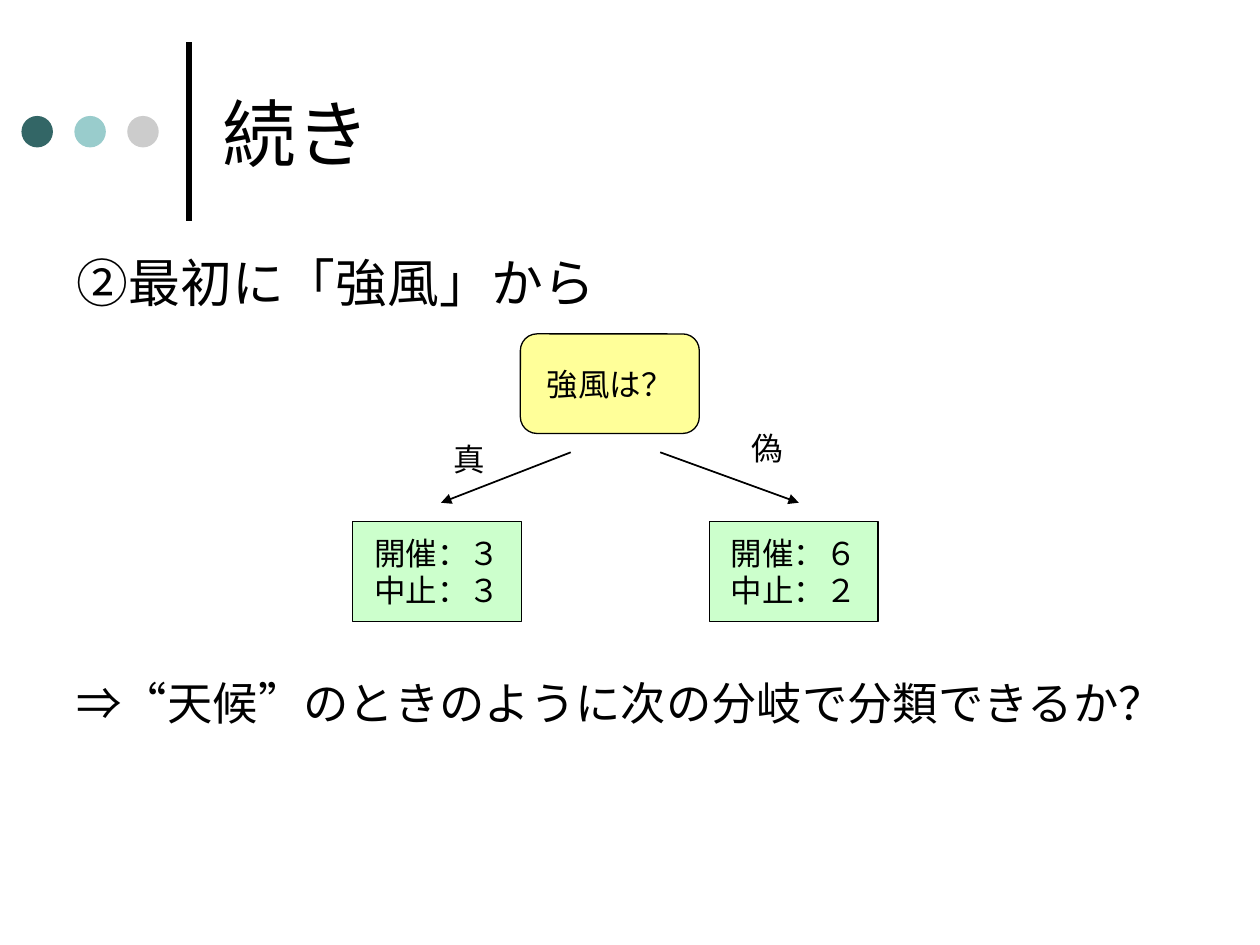
"""Build a slide that shows a decision tree split on strong wind."""
import pptx
import pptx.chart.data
import pptx.dml.color
import pptx.enum.shapes
import pptx.enum.text
import pptx.oxml
import pptx.oxml.ns
import pptx.util
from pptx.util import Inches

SHAPES = pptx.enum.shapes.MSO_SHAPE
ANCHORS = pptx.enum.text.MSO_ANCHOR
ALIGNS = pptx.enum.text.PP_ALIGN


def color(code):
    return pptx.dml.color.RGBColor.from_string(code)


def write(box, text, size=18, before=0, align=ALIGNS.LEFT, anchor=ANCHORS.TOP, wrap=True):
    frame = box.text_frame
    frame.word_wrap = wrap
    frame.vertical_anchor = anchor
    for index, line in enumerate(text.split("\n")):
        para = frame.paragraphs[0] if index == 0 and not frame.text else frame.add_paragraph()
        para.alignment = align
        para.space_before = pptx.util.Pt(before)
        span = para.add_run()
        span.text = line
        span.font.size = pptx.util.Pt(size)
        span.font.name = "Arial"
        span.font.color.rgb = color("000000")


deck = pptx.Presentation()
deck.slide_width, deck.slide_height = Inches(10), Inches(7.5)
page = deck.slides.add_slide(deck.slide_layouts[6])

for index, fill in enumerate(["336666", "99CCCC", "CCCCCC"]):
    dot = page.shapes.add_shape(
        SHAPES.OVAL, Inches(0.17 + 0.42 * index), Inches(0.92), Inches(0.25), Inches(0.25))
    dot.shadow.inherit = False
    dot.fill.solid()
    dot.fill.fore_color.rgb = color(fill)
    dot.line.fill.background()

title = page.shapes.add_textbox(Inches(1.67), Inches(0.21), Inches(7.67), Inches(1.67))
write(title, "続き", size=42, anchor=ANCHORS.MIDDLE)

body = page.shapes.add_textbox(Inches(0.51), Inches(1.94), Inches(8.85), Inches(4.66))
write(body, "②最初に「強風」から", size=29.6, before=8)
write(body, "⇒“天候”のときのように次の分岐で分類できるか？", size=25.9, before=207)

nodes = [
    (SHAPES.ROUNDED_RECTANGLE, 4.13, 2.65, 1.42, "FFFF99", "強風は？"),
    (SHAPES.RECTANGLE, 2.8, 4.14, 1.34, "CCFFCC", "開催：３\n中止：３"),
    (SHAPES.RECTANGLE, 5.63, 4.14, 1.34, "CCFFCC", "開催：６\n中止：２"),
]
for kind, left, top, width, fill, text in nodes:
    node = page.shapes.add_shape(kind, Inches(left), Inches(top), Inches(width), Inches(0.79))
    node.shadow.inherit = False
    node.fill.solid()
    node.fill.fore_color.rgb = color(fill)
    node.line.color.rgb = color("000000")
    node.line.width = pptx.util.Pt(0.75)
    write(node, text, align=ALIGNS.CENTER, anchor=ANCHORS.MIDDLE, wrap=False)

lines = [
    (1.5, 1.75, 1.5, 0.33, 3, False),
    (4.53, 3.59, 3.5, 3.99, 1, True),
    (5.24, 3.59, 6.34, 3.99, 1, True),
]
for x1, y1, x2, y2, weight, arrow in lines:
    line = page.shapes.add_connector(
        pptx.enum.shapes.MSO_CONNECTOR.STRAIGHT, Inches(x1), Inches(y1), Inches(x2), Inches(y2))
    line.line.color.rgb = color("000000")
    line.line.width = pptx.util.Pt(weight)
    if arrow:
        tail = pptx.oxml.parse_xml(f'<a:tailEnd {pptx.oxml.ns.nsdecls("a")} type="triangle"/>')
        line.line._get_or_add_ln().append(tail)
    line._element.spPr.append(
        pptx.oxml.parse_xml(f'<a:effectLst {pptx.oxml.ns.nsdecls("a")}/>'))

for left, top, width, text in [(3.5, 3.44, 0.94, "真"), (5.87, 3.36, 0.87, "偽")]:
    label = page.shapes.add_textbox(Inches(left), Inches(top), Inches(width), Inches(0.4))
    write(label, text, before=11.2)

deck.save("out.pptx")
